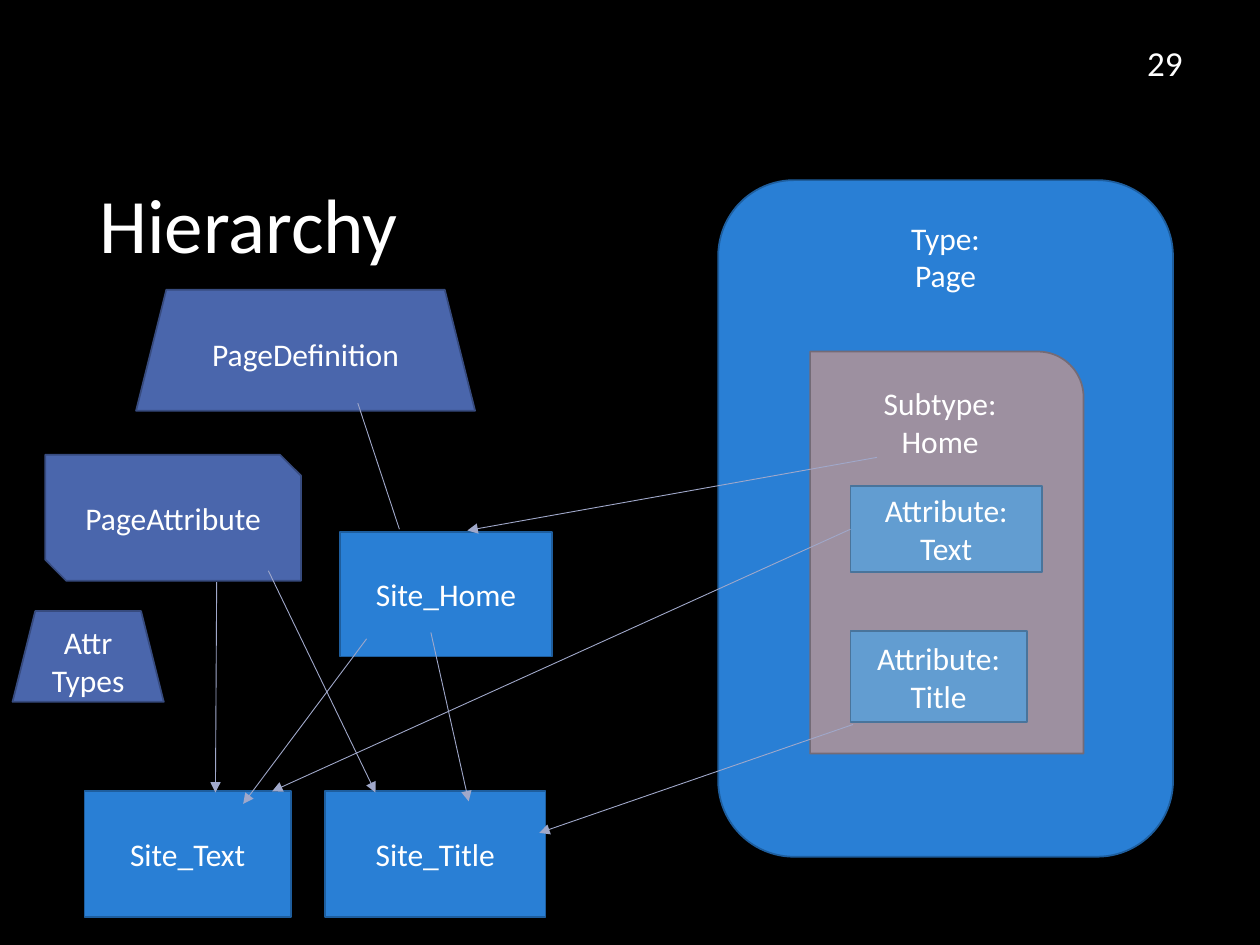
from lxml.etree import SubElement
from pptx import Presentation
from pptx.dml.color import RGBColor as Rgb
from pptx.enum.shapes import MSO_CONNECTOR as Conn, MSO_SHAPE as Kind
from pptx.enum.text import MSO_ANCHOR as Anchor, PP_ALIGN as Align
from pptx.oxml.ns import qn
from pptx.util import Pt

PX = 9144
FONT = "Calibri"
HEX = {
    "back": "000000", "text": "FFFFFF", "link": "A0A8CA",
    "blue": "297FD5", "blue_edge": "1E5E9E",
    "navy": "4A66AC", "navy_edge": "374B7F",
    "mauve": "9D90A0", "mauve_edge": "746B76",
    "sky": "629DD1", "sky_edge": "49749B",
}


def tint(name):
    return Rgb.from_string(HEX[name])


def place(box, x, y, w, h):
    return box[0] + x, box[1] + y, w, h


def scale(box):
    return [n * PX for n in box]


def write(shape, text, size=18, align=Align.CENTER, anchor=Anchor.MIDDLE):
    frame = shape.text_frame
    frame.word_wrap = True
    frame.vertical_anchor = anchor
    frame.text = text
    for para in frame.paragraphs:
        para.alignment = align
        for run in para.runs:
            run.font.name = FONT
            run.font.size = Pt(size)
            run.font.color.rgb = tint("text")
    return frame


def add_label(slide, box, text, size, align, anchor):
    return write(slide.shapes.add_textbox(*scale(box)), text, size, align, anchor)


def add_node(slide, box, text, color="blue", kind=Kind.RECTANGLE, top=None):
    node = slide.shapes.add_shape(kind, *scale(box))
    node.shadow.inherit = False
    node.fill.solid()
    node.fill.fore_color.rgb = tint(color)
    node.line.color.rgb = tint(color + "_edge")
    node.line.width = Pt(1)
    frame = write(node, text, anchor=Anchor.MIDDLE if top is None else Anchor.TOP)
    if top is not None:
        frame.margin_top = top * PX


def add_link(slide, box, start, end, head=True):
    ends = [box[i % 2] + n for i, n in enumerate(start + end)]
    link = slide.shapes.add_connector(Conn.STRAIGHT, *scale(ends))
    link.line.color.rgb = tint("link")
    link.line.width = Pt(0.5)
    if head:
        SubElement(link.line._get_or_add_ln(), qn("a:tailEnd"), type="triangle")
    SubElement(link._element.spPr, qn("a:effectLst"))


def draw_type(slide, box):
    add_node(slide, box, "Type:\nPage", kind=Kind.ROUNDED_RECTANGLE, top=13)
    add_node(slide, place(box, 73, 136, 217, 319), "Subtype:\vHome", "mauve",
             Kind.ROUND_1_RECTANGLE, top=26)
    for name, y, w, h in (("Text", 243, 152, 68), ("Title", 358, 140, 72)):
        add_node(slide, place(box, 105, y, w, h), "Attribute:\n" + name, "sky")


def draw_head(slide, box):
    add_label(slide, place(box, 0, 81, 862, 145), "Hierarchy", 44,
              Align.LEFT, Anchor.MIDDLE).paragraphs[0].line_spacing = 0.9
    add_label(slide, place(box, 806, 0, 99, 40), "29", 20, Align.CENTER, Anchor.TOP)


def draw_tree(slide, box):
    for text, kind, *spot in (
        ("PageAttribute", Kind.SNIP_2_DIAG_RECTANGLE, 26, 131, 203, 100),
        ("PageDefinition", Kind.TRAPEZOID, 98, 0, 269, 96),
        ("Attr\vTypes", Kind.TRAPEZOID, 0, 255, 120, 72),
    ):
        add_node(slide, place(box, *spot), text, "navy", kind)
    for name, *spot in (
        ("Home", 260, 192, 168, 99),
        ("Text", 57, 398, 164, 100),
        ("Title", 248, 398, 175, 100),
    ):
        add_node(slide, place(box, *spot), "Site_" + name)


def draw_links(slide, box):
    add_link(slide, box, (274, 90), (307, 190), head=False)
    for start, end in (
        ((686, 133), (361, 191)),
        ((665, 190), (206, 398)),
        ((667, 345), (418, 431)),
        ((162, 232), (161, 399)),
        ((203, 223), (288, 399)),
        ((281, 277), (183, 408)),
        ((332, 272), (362, 406)),
    ):
        add_link(slide, box, start, end)


def main():
    deck = Presentation()
    deck.slide_width, deck.slide_height = scale((1000, 750))
    slide = deck.slides.add_slide(deck.slide_layouts[6])
    slide.background.fill.solid()
    slide.background.fill.fore_color.rgb = tint("back")
    draw_type(slide, (570, 143, 361, 537))
    draw_head(slide, (69, 28, 905, 226))
    tree = (10, 230, 423, 498)
    draw_tree(slide, tree)
    draw_links(slide, tree)
    deck.save("out.pptx")


if __name__ == "__main__":
    main()
